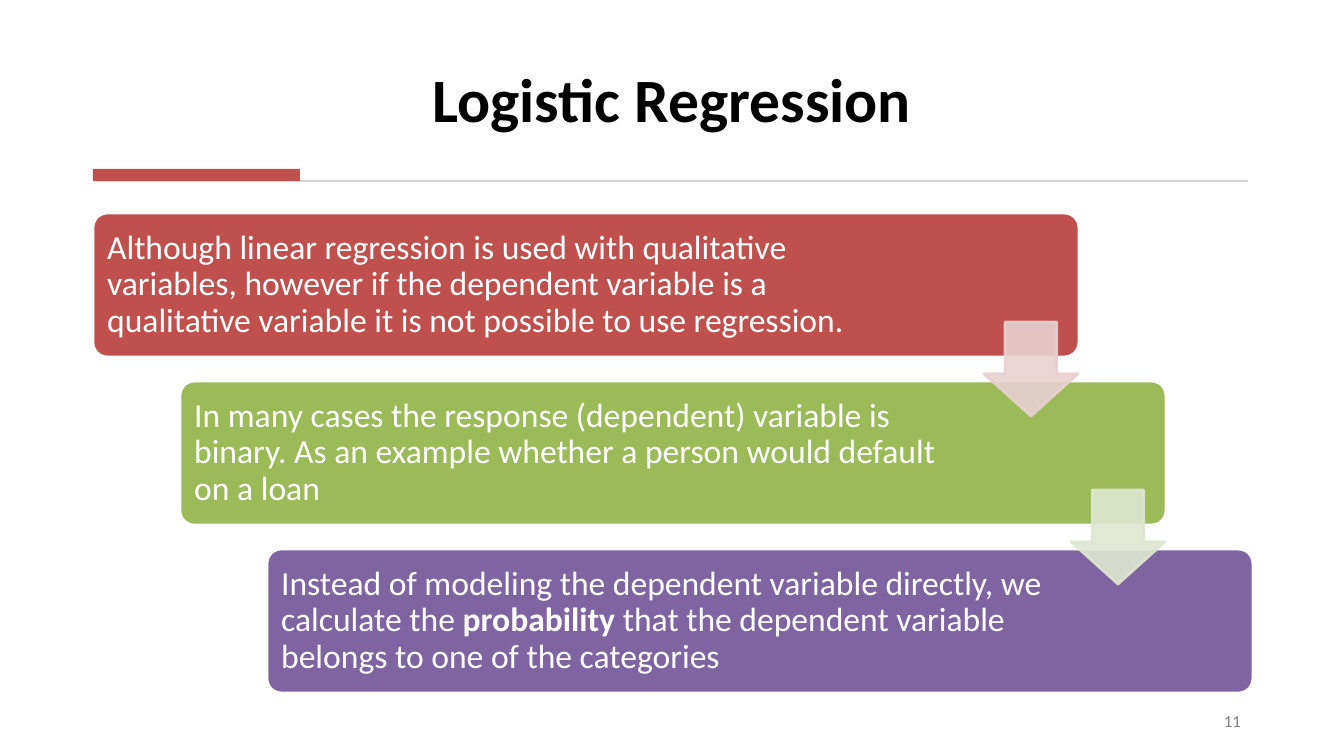
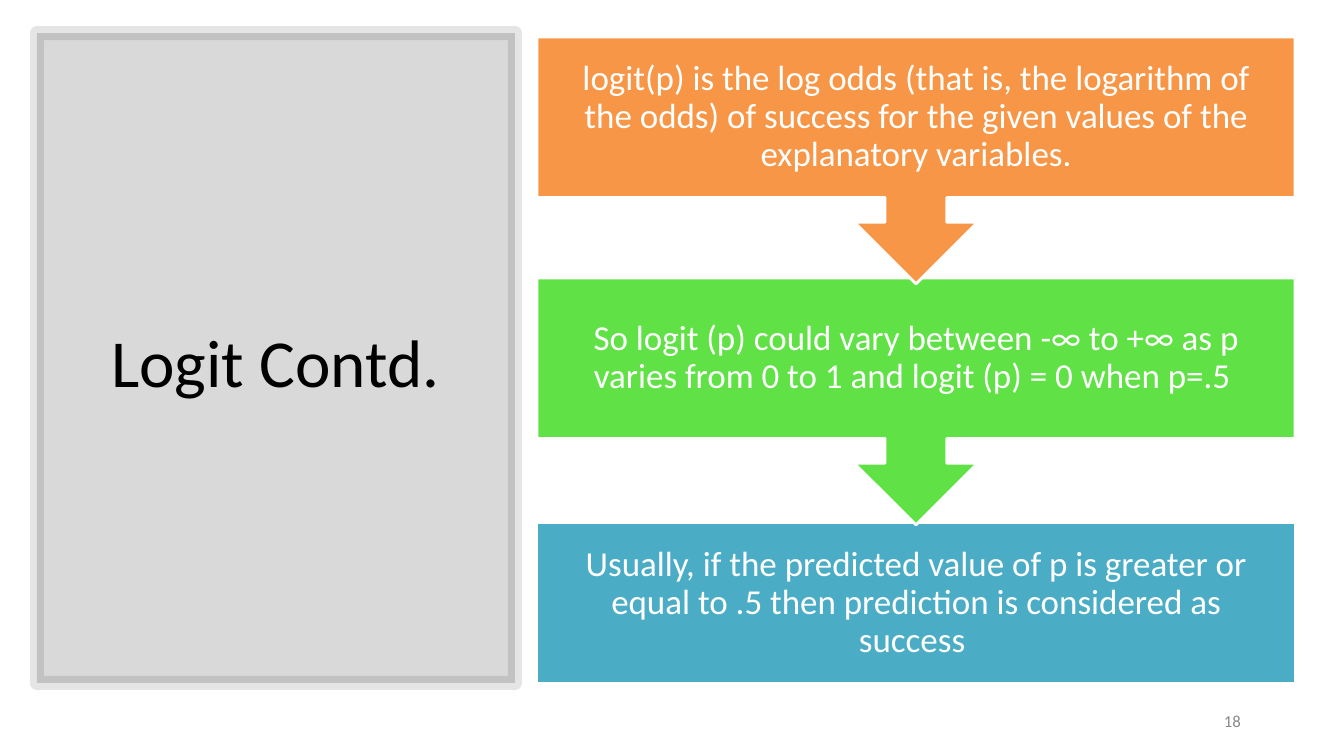
from pptx import Presentation
from pptx.dml.color import RGBColor
from pptx.enum.shapes import MSO_SHAPE
from pptx.enum.text import MSO_ANCHOR, MSO_AUTO_SIZE, PP_ALIGN
from pptx.oxml.ns import qn
from pptx.util import Pt
from lxml import etree

RECT, ROUNDED = MSO_SHAPE.RECTANGLE, MSO_SHAPE.ROUNDED_RECTANGLE
DOWN_ARROW, CALLOUT = MSO_SHAPE.DOWN_ARROW, MSO_SHAPE.DOWN_ARROW_CALLOUT
LEFT, CENTER, RIGHT = PP_ALIGN.LEFT, PP_ALIGN.CENTER, PP_ALIGN.RIGHT
MIDDLE, BOTTOM = MSO_ANCHOR.MIDDLE, MSO_ANCHOR.BOTTOM

BLACK = RGBColor(0x00, 0x00, 0x00)
WHITE = RGBColor(0xFF, 0xFF, 0xFF)
RULE_GREY = RGBColor(0xD5, 0xD5, 0xD5)
NUMBER_GREY = RGBColor(0x80, 0x80, 0x80)
NUMBER_LIGHT = RGBColor(0x89, 0x89, 0x89)
RED = RGBColor(0xC0, 0x50, 0x4D)
OLIVE = RGBColor(0x9B, 0xBB, 0x59)
PURPLE = RGBColor(0x80, 0x64, 0xA2)
PALE_RED = RGBColor(0xE8, 0xD0, 0xD0)
PALE_OLIVE = RGBColor(0xDE, 0xE7, 0xD1)
ORANGE = RGBColor(0xF7, 0x96, 0x46)
GREEN = RGBColor(0x60, 0xE1, 0x46)
TEAL = RGBColor(0x4B, 0xAC, 0xC6)

FONT = "Calibri"
EMU_PER_PIXEL = 914400 / 100.8


def px(length):
    return round(length * EMU_PER_PIXEL)


def set_opacity(color_parent, percent):
    color = color_parent.find(".//" + qn("a:srgbClr"))
    etree.SubElement(color, qn("a:alpha"), val=str(percent * 1000))


class Builder:
    def __init__(self, width, height):
        self.deck = Presentation()
        self.deck.slide_width, self.deck.slide_height = px(width), px(height)
        self.page = None

    def new_page(self):
        self.page = self.deck.slides.add_slide(self.deck.slide_layouts[5])

    def put_text(self, shape, parts, size, color, align, anchor=MIDDLE, bold=False):
        """Fill a shape with one paragraph; every second part is emphasised."""
        frame = shape.text_frame
        frame.word_wrap = True
        frame.auto_size = MSO_AUTO_SIZE.NONE
        frame.vertical_anchor = anchor
        para = frame.paragraphs[0]
        para.alignment = align
        for index, part in enumerate(parts):
            span = para.add_run()
            span.text = part
            span.font.name, span.font.size = FONT, Pt(size)
            span.font.bold = bold or index % 2 == 1
            span.font.color.rgb = color
        return para

    def title(self, text, box, size, anchor, bold=False):
        title = self.page.shapes.title
        title.left, title.top, title.width, title.height = map(px, box)
        self.put_text(title, [text], size, BLACK, CENTER, anchor, bold)
        # Bring the title in front of the shapes drawn so far
        title.element.getparent().append(title.element)

    def shape(self, kind, box, fill, line=None, line_width=2,
              fill_opacity=100, line_opacity=100):
        shape = self.page.shapes.add_shape(kind, *map(px, box))
        shape.shadow.inherit = False
        shape.fill.solid()
        shape.fill.fore_color.rgb = fill
        if fill_opacity < 100:
            set_opacity(shape.element.spPr.find(qn("a:solidFill")), fill_opacity)
        if line is None:
            shape.line.fill.background()
        else:
            shape.line.color.rgb = line
            shape.line.width = Pt(line_width)
            if line_opacity < 100:
                set_opacity(shape.element.spPr.find(qn("a:ln")), line_opacity)
        return shape

    def card(self, kind, box, fill, parts, size, align, inset, right_inset):
        card = self.shape(kind, box, fill, WHITE)
        frame = card.text_frame
        frame.margin_left = frame.margin_top = frame.margin_bottom = px(inset)
        frame.margin_right = px(right_inset)
        self.put_text(card, parts, size, WHITE, align).line_spacing = 0.9
        return card

    def page_number(self, number, color):
        box = self.page.shapes.add_textbox(*map(px, (977, 701, 274, 40)))
        self.put_text(box, [number], 12, color, RIGHT).space_after = Pt(6)


builder = Builder(1344, 756)

# Slide 1: staircase of three cards
builder.new_page()
builder.title("Logistic Regression", (93, 28, 1158, 112), 44, BOTTOM, bold=True)
builder.shape(RECT, (96, 180, 1152, 2), RULE_GREY)
builder.shape(RECT, (93, 169, 207, 12), RED)
builder.page_number("11", NUMBER_GREY)

STEP_X, STEP_Y = 87, 168
steps = [
    (RED, 158, ["Although linear regression is used with qualitative variables, "
                "however if the dependent variable is a qualitative variable "
                "it is not possible to use regression."]),
    (OLIVE, 191, ["In many cases the response (dependent) variable is binary. "
                  "As an example whether a person would default on a loan"]),
    (PURPLE, 191, ["Instead of modeling the dependent variable directly, "
                   "we calculate the ", "probability",
                   " that the dependent variable belongs to one of the categories"]),
]
for index, (fill, right_inset, parts) in enumerate(steps):
    box = (93 + index * STEP_X, 213 + index * STEP_Y, 986, 144)
    card = builder.card(ROUNDED, box, fill, parts, 24, LEFT, 10, right_inset)
    card.adjustments[0] = 0.1

# Arrows between the steps
for index, color in enumerate([PALE_RED, PALE_OLIVE]):
    box = (984 + index * STEP_X, 322 + index * STEP_Y, 94, 94)
    arrow = builder.shape(DOWN_ARROW, box, color, color,
                          fill_opacity=90, line_opacity=90)
    arrow.adjustments[0], arrow.adjustments[1] = 0.55, 0.45

# Slide 2: title panel and a downward flow
builder.new_page()
builder.shape(RECT, (37, 33, 478, 650), BLACK, BLACK, line_width=10,
              fill_opacity=15, line_opacity=10)
builder.title("Logit Contd.", (66, 71, 419, 580), 48, MIDDLE)
builder.page_number("18", NUMBER_LIGHT)

# Drawn from the bottom up, so each arrow tip lies over the next box
flow = [
    (RECT, 523, 160, TEAL, "Usually, if the predicted value of p is greater or equal "
                           "to .5 then prediction is considered as success "),
    (CALLOUT, 278, 247, GREEN, "So logit (p) could vary between -∞ to +∞ as p varies "
                               "from 0 to 1 and logit (p) = 0 when p=.5 "),
    (CALLOUT, 37, 247, ORANGE, "logit(p) is the log odds (that is, the logarithm of the "
                               "odds) of success for the given values of the "
                               "explanatory variables."),
]
for kind, top, height, fill, text in flow:
    builder.card(kind, (537, top, 758, height), fill, [text], 25, CENTER, 19, 19)

builder.deck.save("out.pptx")
